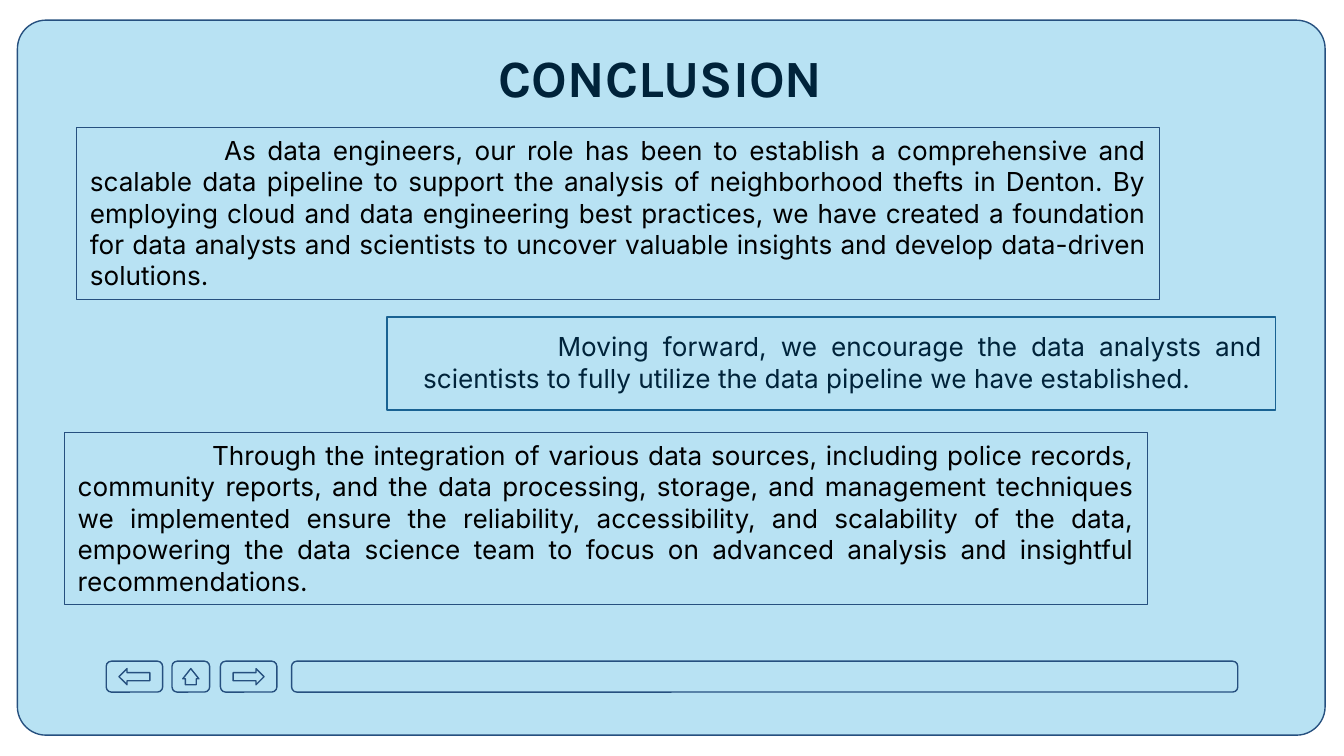
from pptx import Presentation
from pptx.dml.color import RGBColor
from pptx.enum.shapes import MSO_SHAPE
from pptx.enum.text import MSO_ANCHOR, PP_ALIGN
from pptx.util import Inches, Pt

THEME = {
    "panel": RGBColor.from_string("B8E2F3"),
    "outline": RGBColor.from_string("26507F"),
    "accent": RGBColor.from_string("196292"),
    "dark": RGBColor.from_string("00233A"),
    "black": RGBColor.from_string("000000"),
    "title_font": "Karla",
    "body_font": "Inter",
    "title_size": Pt(28),
    "body_size": Pt(14),
    "line_width": Pt(0.75),
}

TITLE = "CONCLUSION"
STATEMENTS = [
    {
        "text": "Moving forward, we encourage the data analysts and scientists to fully "
                "utilize the data pipeline we have established.",
        "frame": (2.88, 2.36, 6.61, 0.69),
        "line": "accent", "color": "dark", "margin": 0.17, "inset": 0.1,
    },
    {
        "text": "As data engineers, our role has been to establish a comprehensive and "
                "scalable data pipeline to support the analysis of neighborhood thefts in "
                "Denton. By employing cloud and data engineering best practices, we have "
                "created a foundation for data analysts and scientists to uncover valuable "
                "insights and develop data-driven solutions.",
        "frame": (0.57, 0.95, 8.06, 1.28),
        "line": "outline", "color": "black", "margin": 0, "inset": 0.05,
    },
    {
        "text": "Through the integration of various data sources, including police records, "
                "community reports, and the data processing, storage, and management "
                "techniques we implemented ensure the reliability, accessibility, and "
                "scalability of the data, empowering the data science team to focus on "
                "advanced analysis and insightful recommendations.",
        "frame": (0.48, 3.22, 8.06, 1.28),
        "line": "outline", "color": "black", "margin": 0, "inset": 0.05,
    },
]

BAR_TOP, BAR_HEIGHT = 4.92, 0.23
ARROW_HEIGHT = 0.12
BUTTONS = [
    {"left": 0.79, "width": 0.42, "arrow": 0.23, "turn": 180, "shape": (0.5, 0.5)},
    {"left": 1.28, "width": 0.28, "arrow": 0.12, "turn": 270, "shape": (0.67, 0.63)},
    {"left": 1.64, "width": 0.42, "arrow": 0.23, "turn": 0, "shape": (0.5, 0.5)},
]
ADDRESS_BAR = (2.17, BAR_TOP, 7.04, BAR_HEIGHT)


def add_outlined(slide, kind, frame, fill=None, line="outline", adjustments=()):
    shape = slide.shapes.add_shape(kind, *map(Inches, frame))
    shape.shadow.inherit = False
    if fill:
        shape.fill.solid()
        shape.fill.fore_color.rgb = THEME[fill]
    else:
        shape.fill.background()
    shape.line.color.rgb = THEME[line]
    shape.line.width = THEME["line_width"]
    for position, value in enumerate(adjustments):
        shape.adjustments[position] = value
    return shape


def add_button(slide, button):
    left, width, arrow_width = button["left"], button["width"], button["arrow"]
    add_outlined(slide, MSO_SHAPE.ROUNDED_RECTANGLE,
                 (left, BAR_TOP, width, BAR_HEIGHT))
    arrow_frame = (left + (width - arrow_width) / 2,
                   BAR_TOP + (BAR_HEIGHT - ARROW_HEIGHT) / 2,
                   arrow_width, ARROW_HEIGHT)
    arrow = add_outlined(slide, MSO_SHAPE.RIGHT_ARROW, arrow_frame,
                         fill="panel", adjustments=button["shape"])
    arrow.rotation = button["turn"]


def write(box, text, font, size, color, align, inset, bold=False):
    frame = box.text_frame
    frame.word_wrap = True
    frame.vertical_anchor = MSO_ANCHOR.TOP
    frame.margin_left = frame.margin_right = Inches(0.1)
    frame.margin_top = frame.margin_bottom = Inches(inset)
    para = frame.paragraphs[0]
    para.text = text
    para.alignment = align
    span = para.runs[0]
    span.font.name = THEME[font]
    span.font.size = THEME[size]
    span.font.color.rgb = THEME[color]
    span.font.bold = bold
    return para


def add_statement(slide, statement):
    box = add_outlined(slide, MSO_SHAPE.RECTANGLE, statement["frame"],
                       line=statement["line"])
    para = write(box, statement["text"], "body_font", "body_size",
                 statement["color"], PP_ALIGN.JUSTIFY, statement["inset"])
    properties = para._p.get_or_add_pPr()
    properties.set("marL", str(Inches(statement["margin"])))
    properties.set("indent", str(Inches(1)))


def add_title(slide):
    box = slide.shapes.add_textbox(*map(Inches, (0.7, 0.24, 8.43, 0.63)))
    write(box, TITLE, "title_font", "title_size", "dark", PP_ALIGN.CENTER, 0.1,
          bold=True)


def main():
    deck = Presentation()
    deck.slide_width = Inches(10)
    deck.slide_height = deck.slide_width * 9 // 16
    slide = deck.slides.add_slide(deck.slide_layouts[6])
    add_outlined(slide, MSO_SHAPE.ROUNDED_RECTANGLE, (0.13, 0.15, 9.73, 5.32),
                 fill="panel", adjustments=(0.04,))
    for button in BUTTONS:
        add_button(slide, button)
    add_outlined(slide, MSO_SHAPE.ROUNDED_RECTANGLE, ADDRESS_BAR)
    add_title(slide)
    for statement in STATEMENTS:
        add_statement(slide, statement)
    deck.save("out.pptx")


if __name__ == "__main__":
    main()
